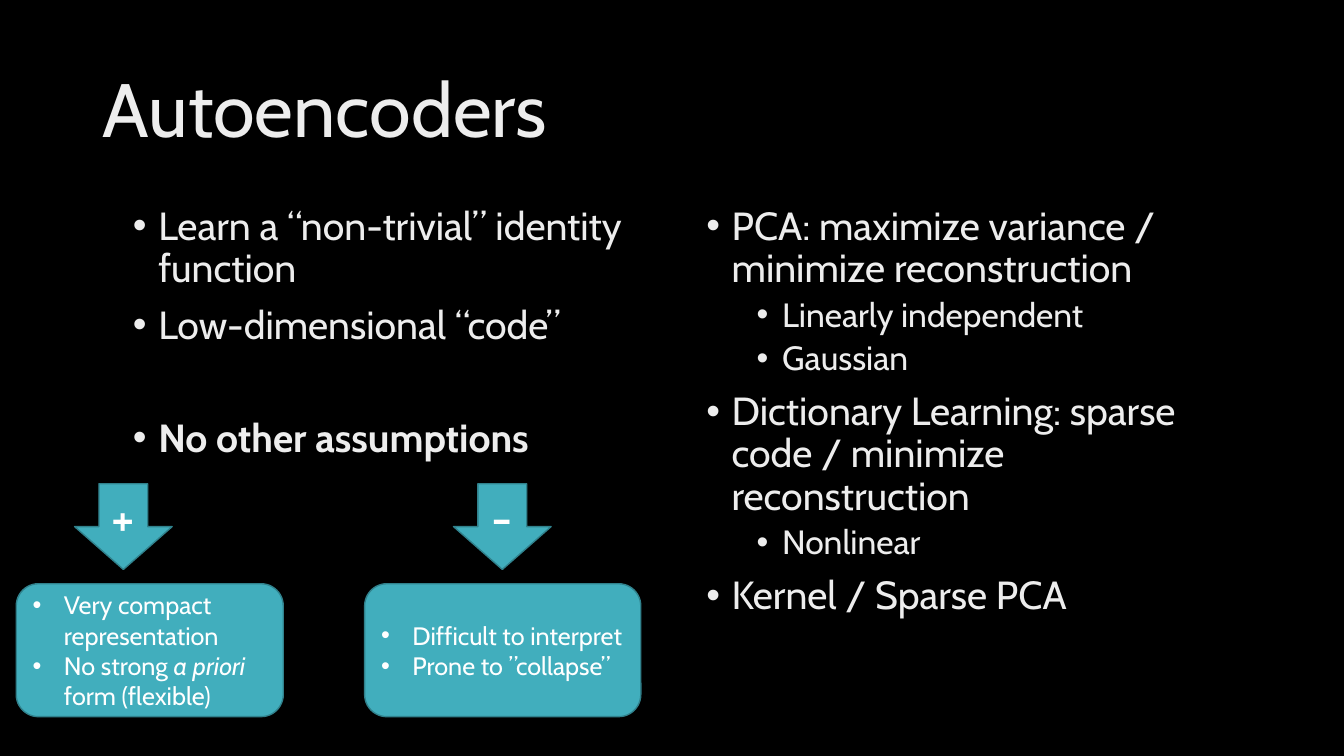
from lxml import etree
from pptx import Presentation
from pptx.dml.color import RGBColor
from pptx.enum import shapes, text
from pptx.oxml import ns
from pptx.util import Cm, Pt

BLACK = RGBColor(0x00, 0x00, 0x00)
PALE = RGBColor(0xED, 0xED, 0xED)
WHITE = RGBColor(0xFF, 0xFF, 0xFF)
TEAL = RGBColor(0x41, 0xAE, 0xBD)
DARK_TEAL = RGBColor(0x30, 0x81, 0x8C)

LEVELS = [
    {"size": 28, "margin": 0.64, "before": 10},
    {"size": 24, "margin": 1.91, "before": 5},
]
HANGING = 0.64
CARD_HANGING = 0.79
EMPTY_LINE_GAP = 50.5

IDENTITY_POINTS = [
    (0, "Learn a “non-trivial” identity function", {}),
    (0, "Low-dimensional “code”", {}),
    (0, "No other assumptions", {"bold": True, "before": EMPTY_LINE_GAP}),
]
RELATED_POINTS = [
    (0, "PCA: maximize variance / minimize reconstruction", {}),
    (1, "Linearly independent", {}),
    (1, "Gaussian", {}),
    (0, "Dictionary Learning: sparse code / minimize reconstruction", {}),
    (1, "Nonlinear", {}),
    (0, "Kernel / Sparse PCA", {}),
]
STRENGTHS = [
    [("Very compact representation", False)],
    [("No strong ", False), ("a priori", True), (" form (flexible)", False)],
]
WEAKNESSES = [
    [("Difficult to interpret", False)],
    [("Prone to ”collapse”", False)],
]


def add_span(para, words, size, color, **format_values):
    span = para.add_run()
    span.text = words
    values = {"name": "Cabin", "size": Pt(size), **format_values}
    for name, value in values.items():
        setattr(span.font, name, value)
    span.font.color.rgb = color


def add_bullet(para, margin, hanging):
    properties = para._p.get_or_add_pPr()
    properties.set("marL", str(Cm(margin)))
    properties.set("indent", str(-Cm(hanging)))
    font = etree.SubElement(properties, ns.qn("a:buFont"))
    font.set("typeface", "Arial")
    etree.SubElement(properties, ns.qn("a:buChar")).set("char", "•")


def next_para(frame, index):
    return frame.add_paragraph() if index else frame.paragraphs[0]


def add_title(page, left, top, width, height):
    box = page.shapes.add_textbox(Cm(left), Cm(top), Cm(width), Cm(height))
    frame = box.text_frame
    frame.word_wrap = True
    frame.vertical_anchor = text.MSO_ANCHOR.MIDDLE
    para = frame.paragraphs[0]
    para.line_spacing = 0.9
    add_span(para, "Autoencoders", 54, PALE)


def add_points(page, points, left, top, width, height):
    box = page.shapes.add_textbox(Cm(left), Cm(top), Cm(width), Cm(height))
    frame = box.text_frame
    frame.word_wrap = True
    for index, (level, words, options) in enumerate(points):
        style = {**LEVELS[level], "bold": False, **options}
        para = next_para(frame, index)
        add_bullet(para, style["margin"], HANGING)
        para.level = level
        para.line_spacing = 0.9
        if index:
            para.space_before = Pt(style["before"])
        add_span(para, words, style["size"], PALE, bold=style["bold"])


def add_teal_shape(page, kind, left, top, width, height):
    shape = page.shapes.add_shape(kind, Cm(left), Cm(top), Cm(width), Cm(height))
    shape.shadow.inherit = False
    shape.fill.solid()
    shape.fill.fore_color.rgb = TEAL
    shape.line.color.rgb = DARK_TEAL
    shape.line.width = Pt(1)
    frame = shape.text_frame
    frame.word_wrap = True
    frame.vertical_anchor = text.MSO_ANCHOR.MIDDLE
    return frame


def add_verdict(page, sign, points, arrow_offset, left, top, width, height):
    arrow_height, card_height = 2.16, 3.35
    frame = add_teal_shape(page, shapes.MSO_SHAPE.DOWN_ARROW,
                           left + arrow_offset, top, 2.46, arrow_height)
    para = frame.paragraphs[0]
    para.alignment = text.PP_ALIGN.CENTER
    add_span(para, sign, 36, WHITE)

    frame = add_teal_shape(page, shapes.MSO_SHAPE.ROUNDED_RECTANGLE,
                           left, top + height - card_height, width, card_height)
    for index, pieces in enumerate(points):
        para = next_para(frame, index)
        para.alignment = text.PP_ALIGN.LEFT
        add_bullet(para, CARD_HANGING, CARD_HANGING)
        for words, italic in pieces:
            add_span(para, words, 18, WHITE, italic=italic)


def main():
    deck = Presentation()
    deck.slide_width, deck.slide_height = Cm(33.87), Cm(19.05)
    page = deck.slides.add_slide(deck.slide_layouts[6])
    page.background.fill.solid()
    page.background.fill.fore_color.rgb = BLACK

    add_title(page, 2.34, 1.02, 29.21, 3.68)
    add_points(page, IDENTITY_POINTS, 3.1, 5.08, 13.97, 12.09)
    add_points(page, RELATED_POINTS, 17.55, 5.08, 14, 12.09)
    add_verdict(page, "+", STRENGTHS, 1.47, 0.41, 12.19, 6.73, 5.87)
    add_verdict(page, "-", WEAKNESSES, 2.24, 9.19, 12.19, 6.96, 5.87)
    deck.save("out.pptx")


if __name__ == "__main__":
    main()
